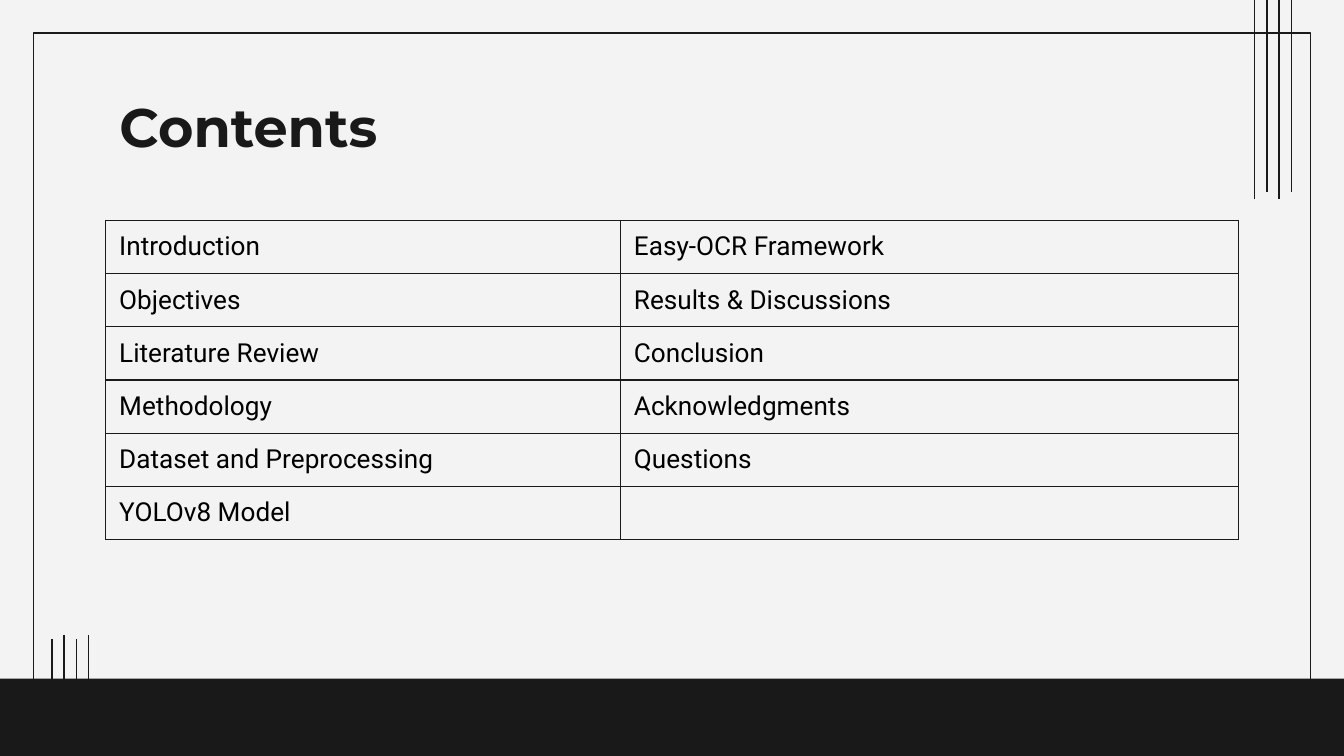
from lxml import etree
from pptx import Presentation
from pptx.dml.color import RGBColor
from pptx.enum.shapes import MSO_CONNECTOR, MSO_SHAPE
from pptx.enum.text import MSO_ANCHOR
from pptx.oxml.ns import qn
from pptx.util import Inches, Pt

RECT = MSO_SHAPE.RECTANGLE
STRAIGHT = MSO_CONNECTOR.STRAIGHT
TOP, MIDDLE = MSO_ANCHOR.TOP, MSO_ANCHOR.MIDDLE

COLS, ROWS = 100, 56.25  # grid of 0.1 inch squares
PAPER, INK, BLACK = "F3F3F3", "191919", "000000"
BAND_TOP = 50.5
CONTENTS = [
    ("Introduction", "Easy-OCR Framework"),
    ("Objectives", "Results & Discussions"),
    ("Literature Review", "Conclusion"),
    ("Methodology", "Acknowledgments"),
    ("Dataset and Preprocessing", "Questions"),
    ("YOLOv8 Model", ""),
]


def grid(*cells):
    """Turn grid units into lengths."""
    return [Inches(c / 10) for c in cells]


def rgb(color):
    return RGBColor.from_string(color)


def write(tf, text, font="Roboto", size=14, color=BLACK, bold=False):
    p = tf.paragraphs[0]
    p.font.size = Pt(size)
    if text:
        r = p.add_run()
        r.text = text
        r.font.name, r.font.size, r.font.bold = font, Pt(size), bold
        r.font.color.rgb = rgb(color)


class Deck:
    """Holds the line style and the current slide; lengths are in grid units."""

    def __init__(self, prs, weight=0.75):
        self.weight = Pt(weight)
        self.s = prs.slides.add_slide(prs.slide_layouts[6])
        fill = self.s.background.fill
        fill.solid()
        fill.fore_color.rgb = rgb(PAPER)

    def rect(self, x, y, w, h, fill, line=None):
        sp = self.s.shapes.add_shape(RECT, *grid(x, y, w, h))
        sp.shadow.inherit = False
        sp.fill.solid()
        sp.fill.fore_color.rgb = rgb(fill)
        if line:
            sp.line.color.rgb = rgb(line)
            sp.line.width = self.weight
        else:
            sp.line.fill.background()

    def upright(self, x, top, bottom):
        c = self.s.shapes.add_connector(STRAIGHT, *grid(x, top, x, bottom))
        c.line.color.rgb = rgb(INK)
        c.line.width = self.weight
        etree.SubElement(c._element.spPr, qn("a:effectLst"))

    def text(self, x, y, w, h, text, **style):
        tf = self.s.shapes.add_textbox(*grid(x, y, w, h)).text_frame
        tf.word_wrap = True
        tf.vertical_anchor = TOP
        tf.margin_left = tf.margin_right = tf.margin_top = tf.margin_bottom = Inches(0.1)
        write(tf, text, **style)

    def border(self, cell):
        tcPr = cell._tc.get_or_add_tcPr()
        for i, side in enumerate(("lnL", "lnR", "lnT", "lnB")):
            ln = etree.Element(qn(f"a:{side}"), w=str(int(self.weight)))
            fill = etree.SubElement(ln, qn("a:solidFill"))
            etree.SubElement(fill, qn("a:srgbClr"), val=INK)
            tcPr.insert(i, ln)

    def table(self, x, y, widths, h, rows):
        frame = self.s.shapes.add_table(len(rows), len(widths), *grid(x, y, sum(widths), h))
        table = frame.table
        table.first_row = table.horz_banding = False
        for column, width in zip(table.columns, grid(*widths)):
            column.width = width
        for i, row in enumerate(rows):
            for j, text in enumerate(row):
                cell = table.cell(i, j)
                cell.fill.solid()
                cell.fill.fore_color.rgb = rgb(PAPER)
                cell.vertical_anchor = MIDDLE
                cell.margin_left = cell.margin_right = Inches(0.1)
                cell.margin_top = cell.margin_bottom = 0
                write(cell.text_frame, text)
                self.border(cell)


def main():
    prs = Presentation()
    prs.slide_width, prs.slide_height = grid(COLS, ROWS)
    deck = Deck(prs)

    deck.rect(2.5, 2.45, COLS - 5, 51.3, PAPER, line=INK)
    deck.rect(0, BAND_TOP, COLS, ROWS - BAND_TOP, INK)
    for i in range(4):
        deck.upright(93.35 + 0.91 * i, 0, 14.3 if i % 2 else 14.8)
        deck.upright(3.87 + 0.9 * i, 47.25 if i % 2 else 47.55, BAND_TOP)

    deck.text(7.9, 5.95, 84.3, 6.3, "Contents",
              font="Montserrat", size=29, color=INK, bold=True)
    deck.table(7.87, 16.4, [38.3, 46], 23.75, CONTENTS)
    prs.save("out.pptx")


if __name__ == "__main__":
    main()
